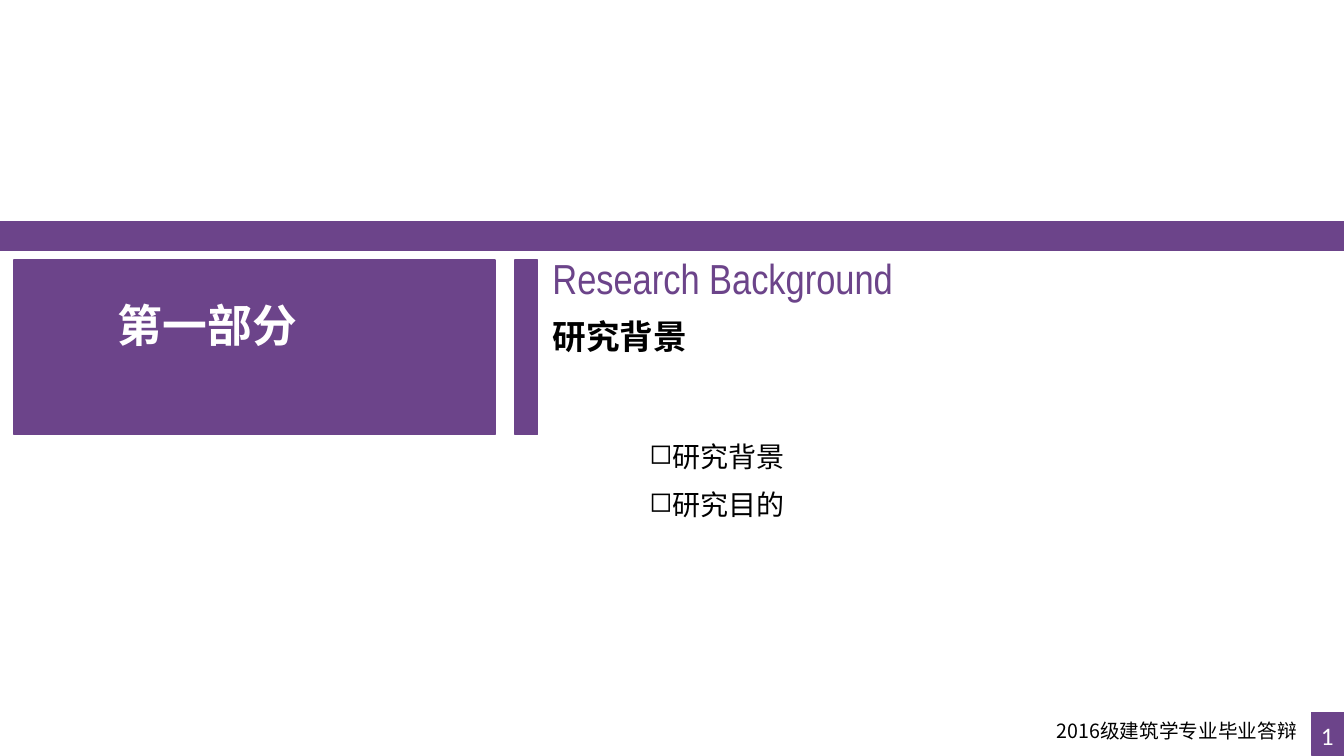
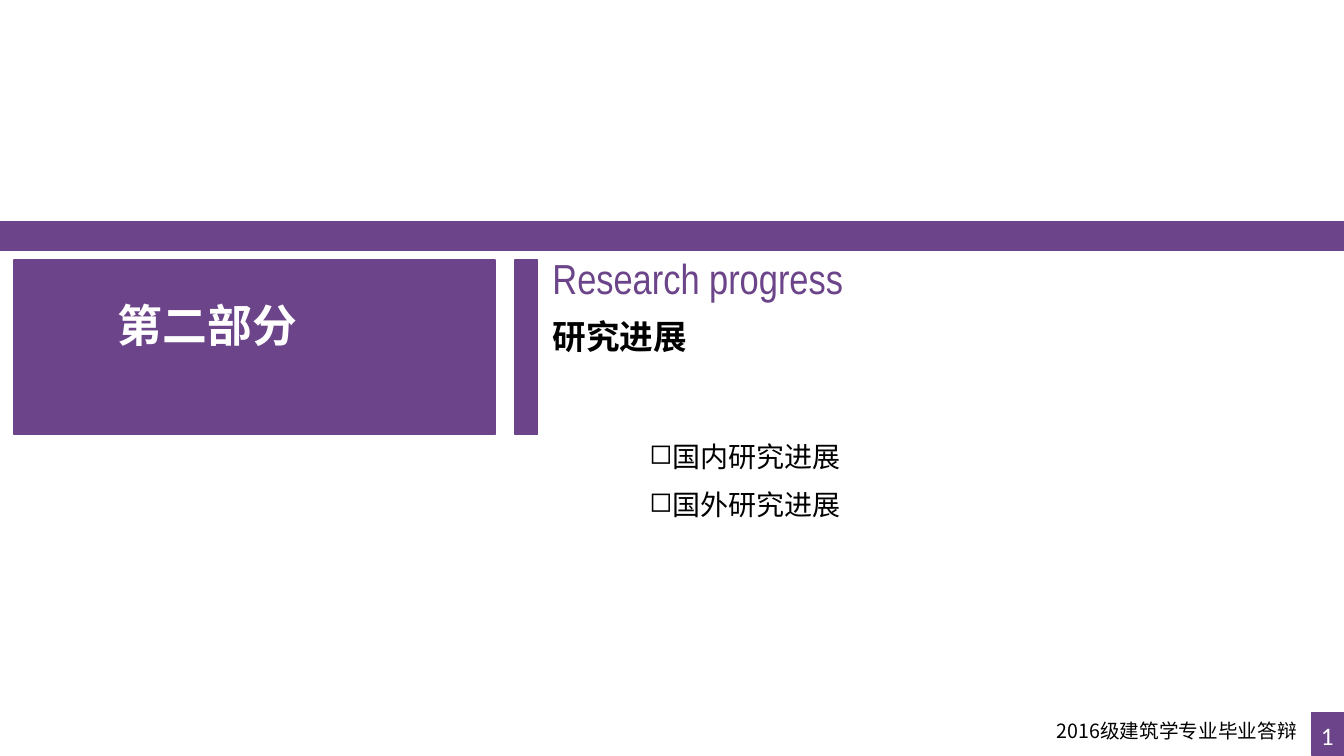
from dataclasses import dataclass

from lxml import etree
from pptx import Presentation
from pptx.dml.color import RGBColor
from pptx.enum.shapes import MSO_SHAPE
from pptx.oxml.ns import qn
from pptx.slide import Slide
from pptx.util import Inches, Pt

RECTANGLE = MSO_SHAPE.RECTANGLE
PURPLE = RGBColor(0x6C, 0x44, 0x8A)
BLACK = RGBColor(0, 0, 0)
WHITE = RGBColor(255, 255, 255)
CHINESE_FONT = "Noto Sans CJK SC"
ENGLISH_FONT = "Arial Narrow"
NUMBER_FONT = "Calibri"
SLIDE_WIDTH = Inches(13.33)
SLIDE_HEIGHT = Inches(7.5)
BULLET_INDENT = Inches(0.23)
FOOTER_TEXT = "2016级建筑学专业毕业答辩"


@dataclass(frozen=True)
class Frame:
    """A place in percent of the slide's width and height."""
    left: float
    top: float
    width: float
    height: float

    def lengths(self) -> tuple[int, int, int, int]:
        return (int(SLIDE_WIDTH * self.left / 100),
                int(SLIDE_HEIGHT * self.top / 100),
                int(SLIDE_WIDTH * self.width / 100),
                int(SLIDE_HEIGHT * self.height / 100))


@dataclass(frozen=True)
class TextStyle:
    size: int
    color: RGBColor = BLACK
    font: str = CHINESE_FONT
    bold: bool = False
    bullet: str = ""


@dataclass(frozen=True)
class Section:
    label: str
    english_title: str
    title: str
    topics: tuple[str, ...]


# Shared blocks and text places
BAND = Frame(0, 29.33, 100, 3.73)
LABEL_PANEL = Frame(1.05, 34.4, 35.78, 23.07)
STRIPE = Frame(38.33, 34.4, 1.65, 23.07)
BADGE = Frame(97.6, 94.27, 2.4, 5.6)
BLOCKS = (LABEL_PANEL, BAND, STRIPE, BADGE)

LABEL = Frame(8.25, 38.8, 16.95, 14.27)
ENGLISH_TITLE = Frame(40.58, 32.93, 29.78, 7.73)
TITLE = Frame(40.58, 41.2, 16, 6.4)
FOOTER = Frame(78.1, 94.53, 19.4, 5.2)
PAGE_NUMBER = Frame(97.75, 94.8, 2.25, 5.2)
TOPIC_TOP, TOPIC_STEP = 57.6, 6.3

LABEL_STYLE = TextStyle(32, WHITE, bold=True)
ENGLISH_STYLE = TextStyle(30, PURPLE, ENGLISH_FONT)
TITLE_STYLE = TextStyle(24, bold=True)
TOPIC_STYLE = TextStyle(20, bullet="◻")
FOOTER_STYLE = TextStyle(14)
NUMBER_STYLE = TextStyle(18, WHITE, NUMBER_FONT)

SECTIONS = (
    Section("第一部分", "Research Background", "研究背景",
            ("研究背景", "研究目的")),
    Section("第二部分", "Research progress", "研究进展",
            ("国内研究进展", "国外研究进展")),
)


def add_block(page: Slide, frame: Frame) -> None:
    block = page.shapes.add_shape(RECTANGLE, *frame.lengths())
    block.shadow.inherit = False
    block.fill.solid()
    block.fill.fore_color.rgb = PURPLE
    block.line.color.rgb = PURPLE
    block.line.width = Pt(1)


def add_text(page: Slide, frame: Frame, text: str, style: TextStyle) -> None:
    box = page.shapes.add_textbox(*frame.lengths()).text_frame
    box.word_wrap = True
    box.margin_left = box.margin_right = Inches(0.07)
    box.margin_top = box.margin_bottom = Inches(0.04)
    para = box.paragraphs[0]
    para.text = text
    properties = para._p.get_or_add_pPr()
    if style.bullet:
        properties.set("marL", str(BULLET_INDENT))
        properties.set("indent", str(-BULLET_INDENT))
        etree.SubElement(properties, qn("a:buChar"), char=style.bullet)
    font = para.font
    font.size = Pt(style.size)
    font.bold = style.bold
    font.color.rgb = style.color
    font.name = style.font
    # East Asian characters take their own typeface element
    etree.SubElement(properties.find(qn("a:defRPr")), qn("a:ea"),
                     typeface=style.font)


def add_section(page: Slide, section: Section) -> None:
    for frame in BLOCKS:
        add_block(page, frame)

    # Headings
    add_text(page, LABEL, section.label, LABEL_STYLE)
    add_text(page, ENGLISH_TITLE, section.english_title, ENGLISH_STYLE)
    add_text(page, TITLE, section.title, TITLE_STYLE)

    # Topics
    for row, topic in enumerate(section.topics):
        frame = Frame(47.79, TOPIC_TOP + row * TOPIC_STEP, 16.5, 5.47)
        add_text(page, frame, topic, TOPIC_STYLE)

    # Footer
    add_text(page, FOOTER, FOOTER_TEXT, FOOTER_STYLE)
    add_text(page, PAGE_NUMBER, "1", NUMBER_STYLE)


def main() -> None:
    deck = Presentation()
    deck.slide_width = SLIDE_WIDTH
    deck.slide_height = SLIDE_HEIGHT
    blank = deck.slide_layouts[6]
    for section in SECTIONS:
        add_section(deck.slides.add_slide(blank), section)
    deck.save("out.pptx")


if __name__ == "__main__":
    main()
